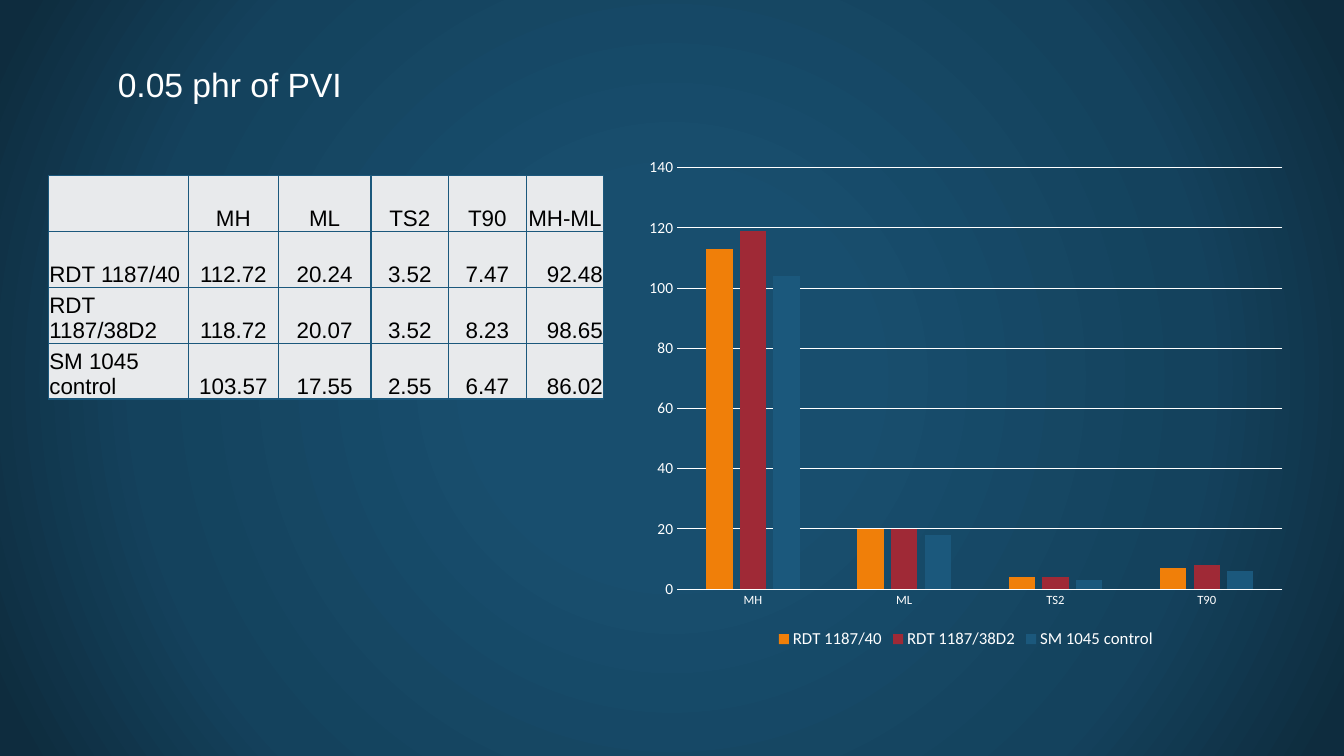
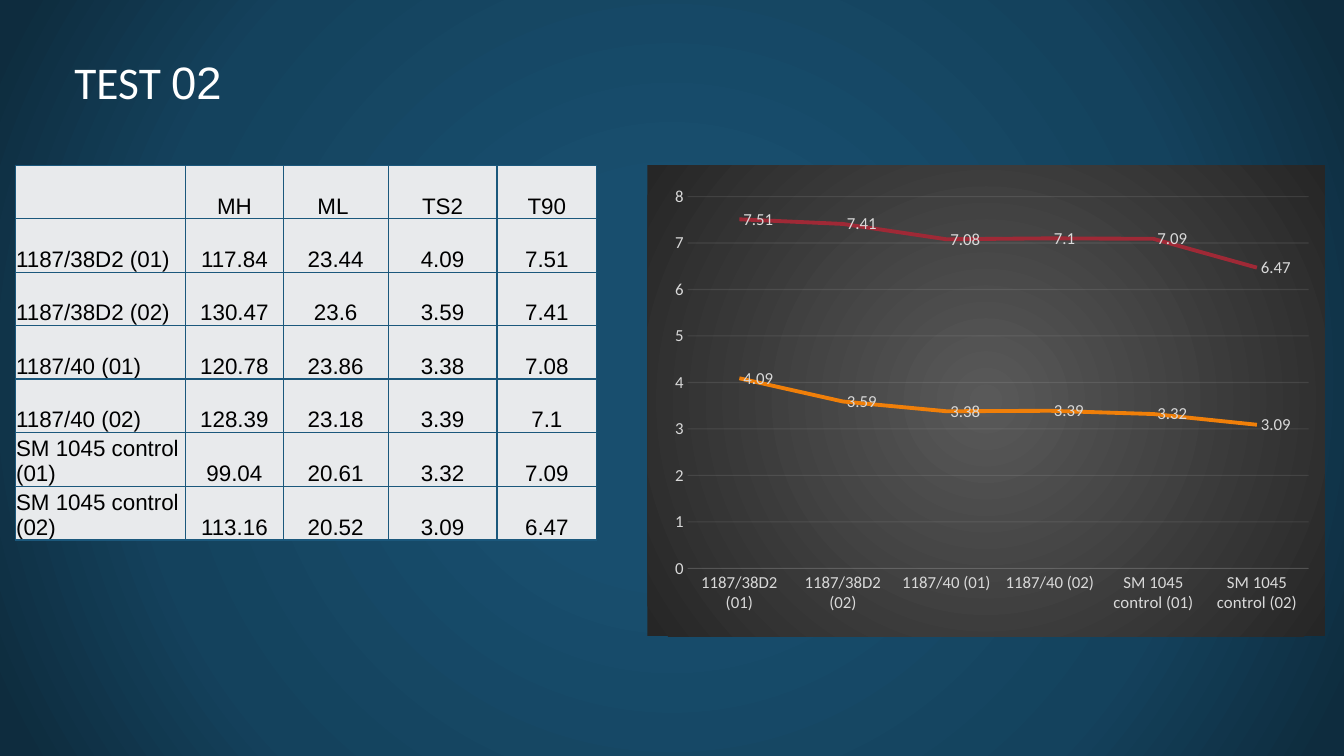
from pptx import Presentation
from pptx.chart.data import CategoryChartData
from pptx.dml.color import RGBColor
from pptx.enum.chart import XL_CHART_TYPE, XL_LABEL_POSITION, XL_LEGEND_POSITION, XL_TICK_MARK
from pptx.enum.text import MSO_ANCHOR, PP_ALIGN
from pptx.oxml import parse_xml
from pptx.oxml.ns import nsdecls, qn
from pptx.util import Pt

SCALE = 9144
WIDE, HIGH = 1333, 750
BARS, LINES = XL_CHART_TYPE.COLUMN_CLUSTERED, XL_CHART_TYPE.LINE
BESIDE, BELOW = XL_LABEL_POSITION.RIGHT, XL_LEGEND_POSITION.BOTTOM
BARE = XL_TICK_MARK.NONE
MIDDLE, BOTTOM = MSO_ANCHOR.MIDDLE, MSO_ANCHOR.BOTTOM
LEFT, CENTER, RIGHT = PP_ALIGN.LEFT, PP_ALIGN.CENTER, PP_ALIGN.RIGHT
SANS, BODY = "Arial", "Calibri"
HUES = {
    "white": "FFFFFF", "black": "000000", "cell": "E8EAEC", "blue": "1B587C",
    "orange": "F07F09", "red": "9F2936", "label": "D9D9D9", "faint": "F2F2F2",
}
GLOW = [(0, "184E6E"), (23, "184E6E"), (69, "14425D"), (97, "0E2C3E")]
SMOKE = [(0, "595959"), (100, "262626")]
CURE = [
    ["", "MH", "ML", "TS2", "T90", "MH-ML"],
    ["RDT 1187/40", 112.72, 20.24, 3.52, 7.47, 92.48],
    ["RDT 1187/38D2", 118.72, 20.07, 3.52, 8.23, 98.65],
    ["SM 1045 control", 103.57, 17.55, 2.55, 6.47, 86.02],
]
TEST = [
    ["", "MH", "ML ", "TS2", "T90"],
    ["1187/38D2 (01)", 117.84, 23.44, 4.09, 7.51],
    ["1187/38D2 (02)", 130.47, 23.6, 3.59, 7.41],
    ["1187/40 (01)", 120.78, 23.86, 3.38, 7.08],
    ["1187/40 (02)", 128.39, 23.18, 3.39, 7.1],
    ["SM 1045 control (01)", 99.04, 20.61, 3.32, 7.09],
    ["SM 1045 control (02)", 113.16, 20.52, 3.09, 6.47],
]


def px(*vals):
    return [val * SCALE for val in vals]


def hue(name):
    return RGBColor.from_string(HUES[name])


def put(item, vals):
    for key, val in vals.items():
        setattr(item, key, val)


def ink(font, size, tint, face=BODY):
    put(font, {"size": Pt(size), "name": face})
    font.color.rgb = hue(tint)


def radial(stops):
    marks = "".join(
        f'<a:gs pos="{pos * 1000}"><a:srgbClr val="{tone}"/></a:gs>' for pos, tone in stops)
    return (f'<a:gradFill {nsdecls("a")} rotWithShape="1"><a:gsLst>{marks}</a:gsLst>'
            '<a:path path="circle"><a:fillToRect l="50000" t="50000" r="50000" b="50000"/>'
            '</a:path></a:gradFill>')


def backdrop(master):
    master.background.fill.solid()
    props = master.element.find(".//" + qn("p:bgPr"))
    props.replace(props[0], parse_xml(radial(GLOW)))


def title(slide, box, parts):
    frame = slide.shapes.add_textbox(*px(*box)).text_frame
    put(frame, {"word_wrap": True, "vertical_anchor": MIDDLE})
    for text, size, face in parts:
        run = frame.paragraphs[0].add_run()
        run.text = text
        ink(run.font, size, "white", face)


def border(cell):
    props = cell._tc.get_or_add_tcPr()
    for side in "LRTB":
        props.append(parse_xml(
            f'<a:ln{side} {nsdecls("a")} w="12700"><a:solidFill>'
            f'<a:srgbClr val="{HUES["blue"]}"/></a:solidFill></a:ln{side}>'))


def grid(slide, spot, cols, tall, rows, last=CENTER):
    frame = slide.shapes.add_table(len(rows), len(cols), *px(*spot, sum(cols), tall))
    table = frame.table
    put(table, {"first_row": False, "horz_banding": False})
    for col, width in zip(table.columns, px(*cols)):
        col.width = width
    pad, = px(1)
    look = {"margin_left": pad, "margin_right": pad, "margin_top": 0,
            "margin_bottom": 0, "vertical_anchor": BOTTOM}
    sides = [LEFT] + [CENTER] * (len(cols) - 2) + [last]
    for r, row in enumerate(rows):
        table.rows[r].height = tall * SCALE // len(rows)
        for c, val in enumerate(row):
            cell = table.cell(r, c)
            put(cell, look)
            border(cell)
            cell.fill.solid()
            cell.fill.fore_color.rgb = hue("cell")
            para = cell.text_frame.paragraphs[0]
            para.alignment = sides[c] if r else CENTER
            ink(para.font, 16, "black", SANS)
            if val != "":
                run = para.add_run()
                run.text = str(val)
                ink(run.font, 16, "black", SANS)


def stroke(line, tint, width=0.75):
    line.width = Pt(width)
    line.color.rgb = hue(tint)


def graph(slide, box, kind, cats, series, axes):
    data = CategoryChartData()
    data.categories = cats
    for name, vals in series:
        data.add_series(name, vals)
    chart = slide.shapes.add_chart(kind, *px(*box), data).chart
    put(chart, {"has_title": False, "has_legend": False})
    ink(chart.font, 10, "white")
    cat, val = chart.category_axis, chart.value_axis
    sizes, tint, rule, top, unit = axes
    for axis, size in zip((cat, val), sizes):
        put(axis, {"major_tick_mark": BARE, "minor_tick_mark": BARE})
        ink(axis.tick_labels.font, size, tint)
    put(val, {"minimum_scale": 0, "maximum_scale": top, "major_unit": unit,
              "has_major_gridlines": True})
    val.format.line.fill.background()
    for line in (cat.format.line, val.major_gridlines.format.line):
        stroke(line, rule)
    chart.plots[0].vary_by_categories = False
    return chart


def inset(chart, box, plot):
    area = chart.element.find(".//" + qn("c:plotArea"))
    for old in area.findall(qn("c:layout")):
        area.remove(old)
    parts = "".join(f'<c:{key} val="{part / full}"/>'
                    for key, part, full in zip("xywh", plot, box[2:] * 2))
    area.insert(0, parse_xml(
        f'<c:layout {nsdecls("c")}><c:manualLayout><c:layoutTarget val="inner"/>'
        f'<c:xMode val="edge"/><c:yMode val="edge"/>{parts}</c:manualLayout></c:layout>'))


def columns(slide, box, rows):
    series = [(row[0], [round(val) for val in row[1:5]]) for row in rows[1:]]
    chart = graph(slide, box, BARS, rows[0][1:5], series,
                  ((9, 11), "white", "white", 140, 20))
    put(chart.plots[0], {"gap_width": 219, "overlap": -27})
    for bar, tint in zip(chart.plots[0].series, ("orange", "red", "blue")):
        bar.format.fill.solid()
        bar.format.fill.fore_color.rgb = hue(tint)
    chart.has_legend = True
    put(chart.legend, {"position": BELOW, "include_in_layout": False})
    ink(chart.legend.font, 12, "white")


def trends(slide, box, rows):
    series = [(f"Series {n}", [row[n + 2] for row in rows[1:]]) for n in (1, 2)]
    chart = graph(slide, box, LINES, [row[0] for row in rows[1:]], series,
                  ((12, 12), "label", "faint", 8, 1))
    inset(chart, box, (40, 31, 616, 369))
    for trend, tint in zip(chart.plots[0].series, ("orange", "red")):
        trend.smooth = False
        stroke(trend.format.line, tint, 2.75)
        put(trend.data_labels, {"show_value": True, "position": BESIDE})
        ink(trend.data_labels.font, 12, "label")
    for tone in chart.element.iter(qn("a:srgbClr")):
        if tone.get("val") == HUES["faint"]:
            tone.append(parse_xml(f'<a:alpha {nsdecls("a")} val="10000"/>'))
    chart.element.find(qn("c:chart")).addnext(parse_xml(
        f'<c:spPr {nsdecls("c", "a")}>{radial(SMOKE)}<a:ln><a:noFill/></a:ln></c:spPr>'))


def main():
    deck = Presentation()
    deck.slide_width, deck.slide_height = px(WIDE, HIGH)
    backdrop(deck.slide_master)
    blank = deck.slide_layouts[6]

    slide = deck.slides.add_slide(blank)
    title(slide, (107, 58, 524, 50), [("0.05 phr of PVI", 24, SANS)])
    grid(slide, (48, 174), (139, 89, 92, 77, 77, 77), 222, CURE, RIGHT)
    columns(slide, (631, 147, 654, 501), CURE)

    slide = deck.slides.add_slide(blank)
    title(slide, (64, 41, 1186, 80), [("TEST ", 32.4, BODY), ("02", 32.4, SANS)])
    grid(slide, (15, 164), (169, 97, 104, 108, 99), 371, TEST)
    trends(slide, (642, 164, 672, 467), TEST)

    deck.save("out.pptx")


if __name__ == "__main__":
    main()
